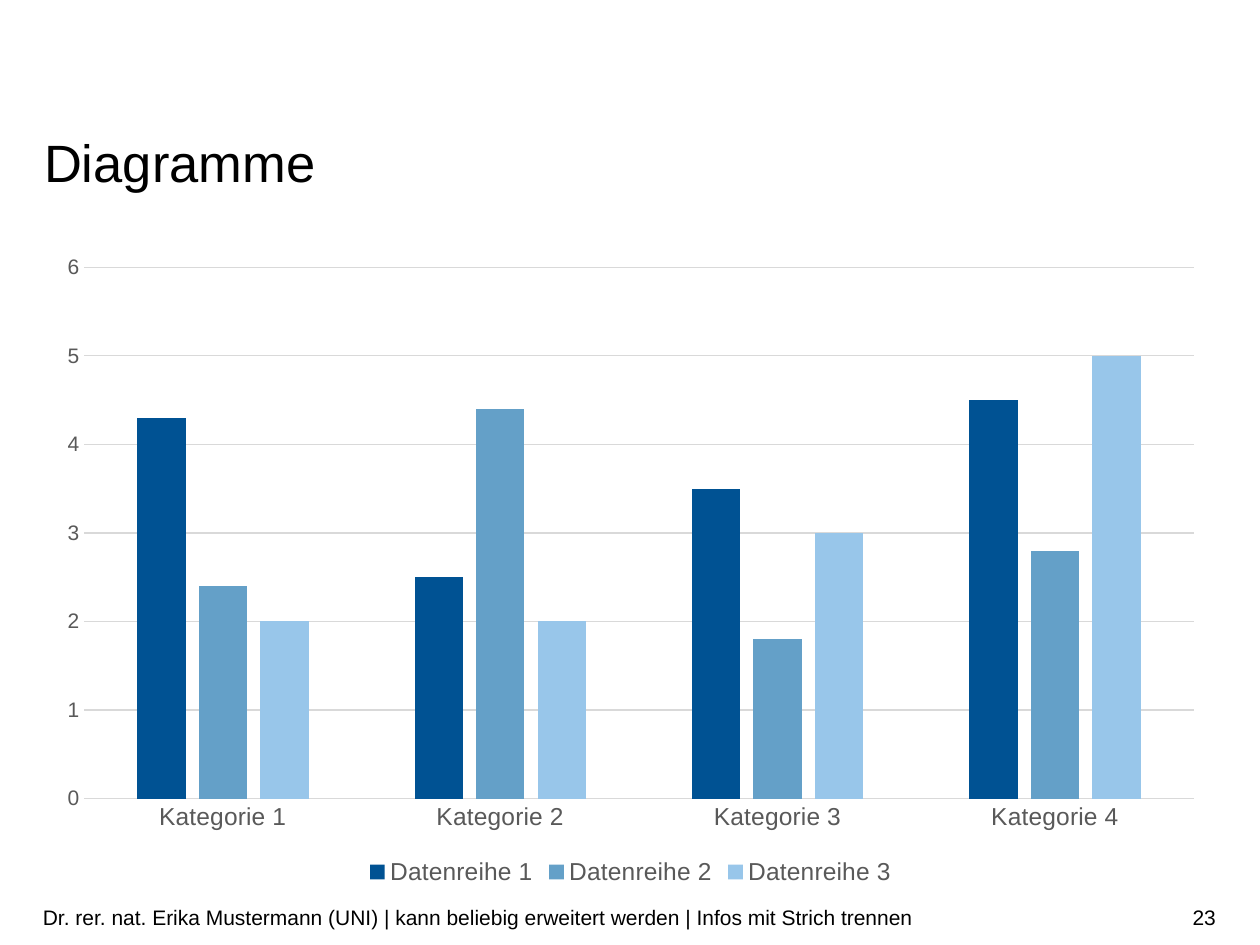
from dataclasses import dataclass
from pptx import Presentation
from pptx.chart.data import CategoryChartData as Data
from pptx.dml.color import RGBColor as Rgb
from pptx.enum.chart import XL_CHART_TYPE as Kind, XL_LEGEND_POSITION as Place, XL_TICK_MARK as Tick
from pptx.enum.text import MSO_ANCHOR as Anchor, PP_ALIGN as Align
from pptx.util import Inches, Pt


@dataclass(frozen=True)
class Theme:
    face: str = "Arial"
    ink: str = "000000"
    gray: str = "595959"
    rule: str = "D9D9D9"
    blues: tuple = ("005293", "64A0C8", "98C6EA")
    head: int = 30
    label: int = 14
    small: int = 12
    base: int = 10


theme = Theme()
CATS = [f"Kategorie {n}" for n in range(1, 5)]
ROWS = [(4.3, 2.5, 3.5, 4.5), (2.4, 4.4, 1.8, 2.8), (2, 2, 3, 5)]


def assign(item, **vals):
    for key, val in vals.items():
        setattr(item, key, val)


def style(font, size, color):
    assign(font, name=theme.face, size=Pt(size), bold=False)
    font.color.rgb = Rgb.from_string(color)


def rule(line):
    line.width = Pt(0.75)
    line.color.rgb = Rgb.from_string(theme.rule)


def write(shape, text, size, align=Align.LEFT, **frame):
    body = shape.text_frame
    assign(body, word_wrap=True, margin_left=0, margin_right=0, **frame)
    para = body.paragraphs[0]
    para.alignment = align
    run = para.add_run()
    run.text = text
    style(run.font, size, theme.ink)
    return para


# Title
def add_title(slide, left, top, width, height):
    title = slide.shapes.title
    assign(title, left=Inches(left), top=Inches(top),
           width=Inches(width), height=Inches(height))
    para = write(title, "Diagramme", theme.head, margin_top=0,
                 margin_bottom=0, vertical_anchor=Anchor.TOP)
    assign(para, line_spacing=Pt(32), space_before=Pt(0))


# Column chart
def add_columns(slide, *box):
    data = Data()
    data.categories = CATS
    for num, row in enumerate(ROWS, 1):
        data.add_series(f"Datenreihe {num}", row)
    chart = slide.shapes.add_chart(
        Kind.COLUMN_CLUSTERED, *map(Inches, box), data).chart
    assign(chart, has_title=False, has_legend=True)
    style(chart.font, theme.base, theme.ink)
    assign(chart.legend, position=Place.BOTTOM, include_in_layout=False)
    style(chart.legend.font, theme.label, theme.gray)

    plot = chart.plots[0]
    assign(plot, gap_width=219, overlap=-27, vary_by_categories=False)
    for series, blue in zip(plot.series, theme.blues):
        series.format.fill.solid()
        series.format.fill.fore_color.rgb = Rgb.from_string(blue)

    cat, val = chart.category_axis, chart.value_axis
    for axis, size in ((cat, theme.label), (val, theme.small)):
        assign(axis, major_tick_mark=Tick.NONE, minor_tick_mark=Tick.NONE)
        style(axis.tick_labels.font, size, theme.gray)
    rule(cat.format.line)
    assign(val, minimum_scale=0, maximum_scale=6, major_unit=1,
           has_major_gridlines=True)
    val.format.line.fill.background()
    rule(val.major_gridlines.format.line)


# Footer line with page number
def add_footer(slide, left, top, width, height):
    page = 2.24
    parts = (
        (left, width - page, Align.LEFT,
         "Dr. rer. nat. Erika Mustermann (UNI) | kann beliebig erweitert "
         "werden | Infos mit Strich trennen"),
        (left + width - page, page, Align.RIGHT, "23"),
    )
    for x, wide, align, text in parts:
        box = slide.shapes.add_textbox(*map(Inches, (x, top, wide, height)))
        write(box, text, theme.small, align, vertical_anchor=Anchor.MIDDLE)


deck = Presentation()
assign(deck, slide_width=Inches(10), slide_height=Inches(7.5))
slide = deck.slides.add_slide(deck.slide_layouts[5])
add_columns(slide, 0.35, 1.93, 9.31, 5.14)
add_footer(slide, 0.34, 7.08, 9.31, 0.4)
add_title(slide, 0.35, 1.09, 9.31, 0.45)
deck.save("out.pptx")
